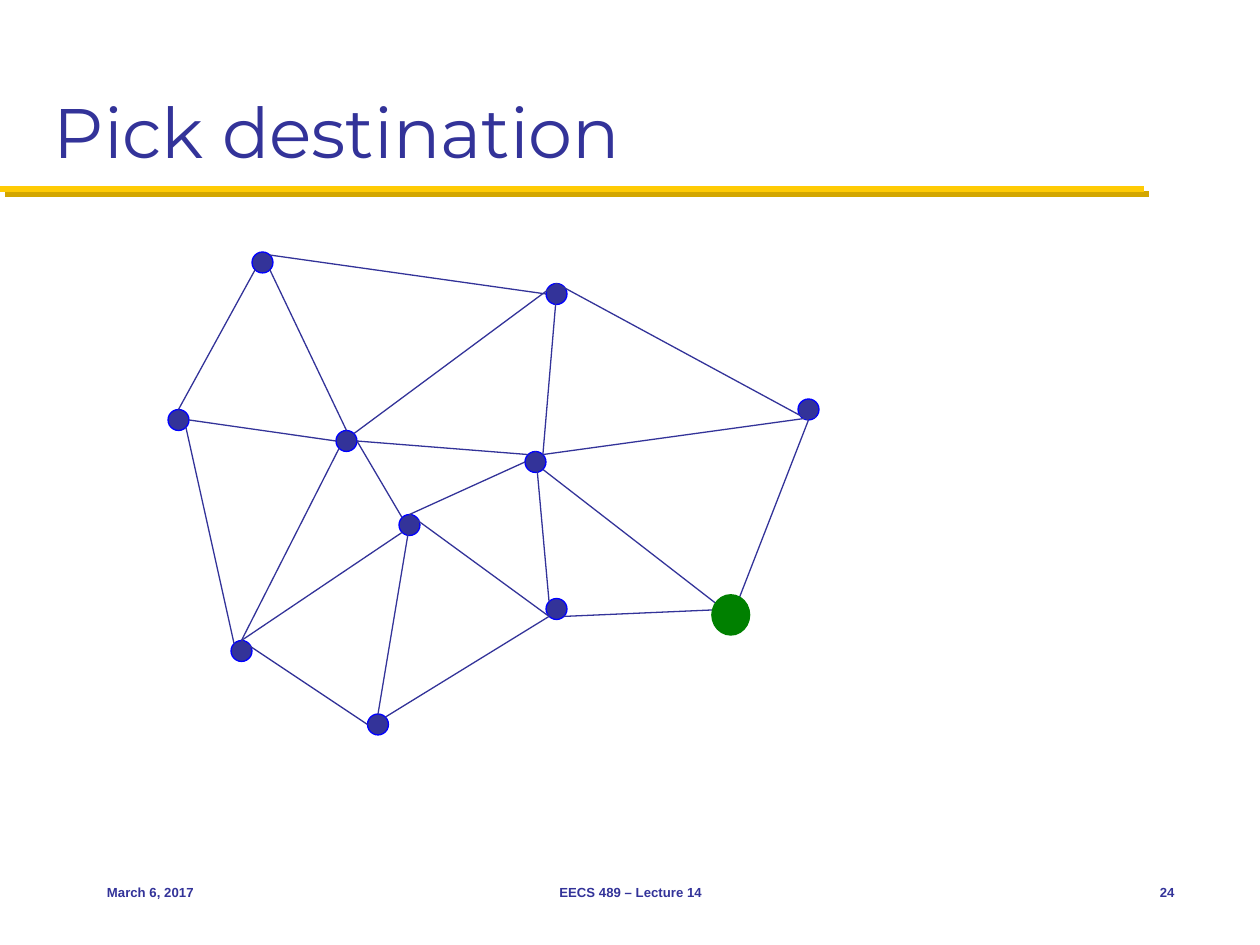
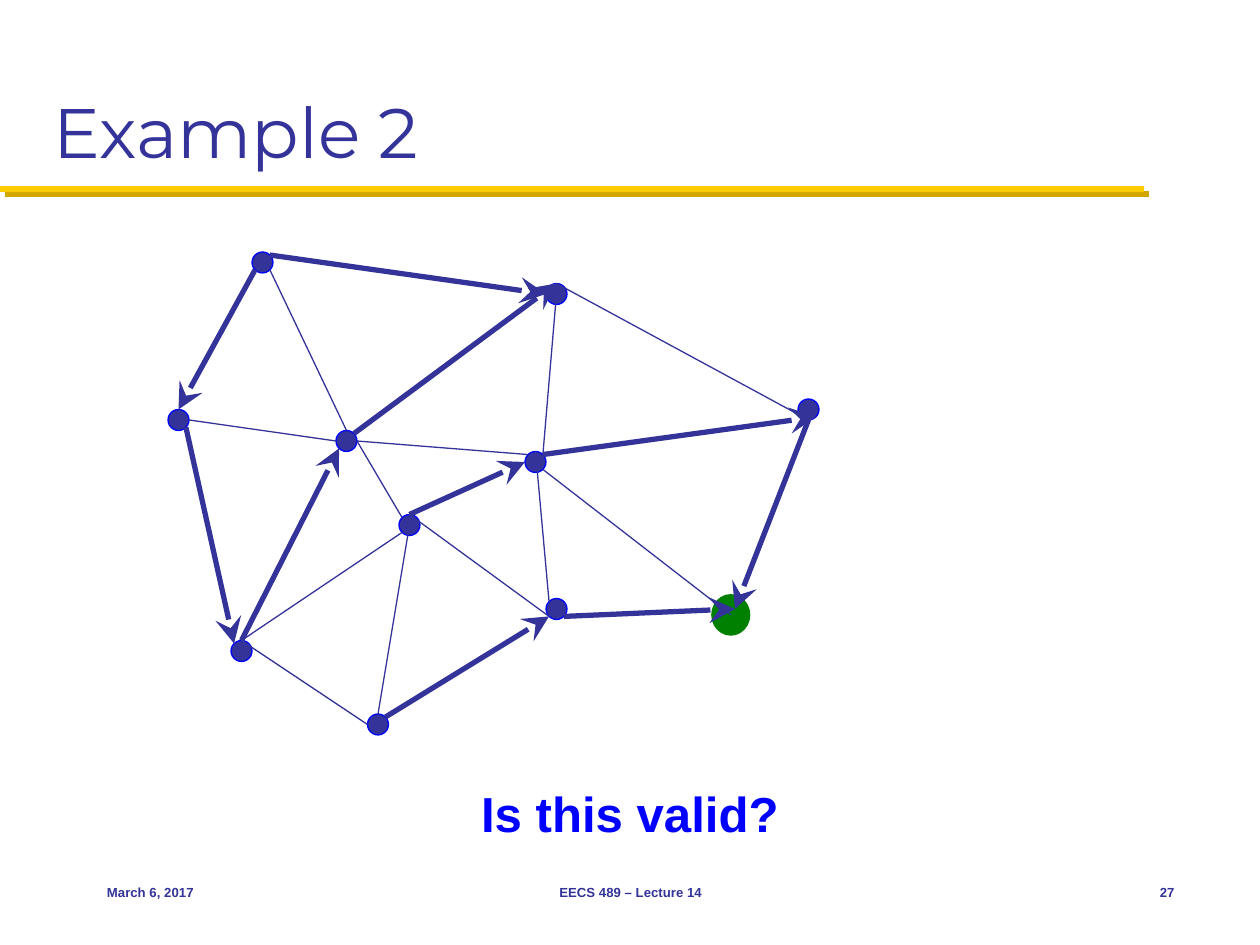
"""Build two slides that route a small network towards a chosen node."""
from lxml.etree import SubElement as Sub
from pptx import Presentation
from pptx.dml.color import RGBColor
from pptx.enum.shapes import MSO_CONNECTOR as Conn, MSO_SHAPE as Kind
from pptx.enum.text import MSO_ANCHOR as Anchor, PP_ALIGN as Align
from pptx.oxml.ns import qn
from pptx.util import Inches, Pt

WIDE, HIGH = 10, 7.5
UNIT = 1 / 12
INK, BLUE, GREEN, GOLD, SHADE = "333399", "0000FF", "008000", "FFCB05", "D3A600"

SLIDES = [
    {"title": "Pick destination", "page": "24", "note": None, "flow": False},
    {"title": "Example 2", "page": "27", "note": "Is this valid?", "flow": True},
]
DOTS = {
    "a": (25, 25), "b": (17, 40), "c": (53, 28), "d": (53, 58), "e": (36, 69),
    "f": (33, 42), "g": (77, 39), "h": (39, 50), "i": (23, 62), "j": (51, 44),
}
GOAL = (69.6, 58.56)
SPOTS = {**DOTS, "k": (70, 59), "goal": GOAL}
DIAG = 0.5 ** 0.5
SIDES = {
    "o": (0, 0), "n": (0, -1), "s": (0, 1), "w": (-1, 0), "e": (1, 0),
    "nw": (-DIAG, -DIAG), "ne": (DIAG, -DIAG), "sw": (-DIAG, DIAG), "se": (DIAG, DIAG),
}
PLAIN = [
    "a.se f.n", "f.e h.nw", "j.se goal.o", "c.o j.ne", "c.n g.s", "i.n e.w",
    "h.n d.sw", "j.n d.nw", "h.o e.n", "f.e j.nw", "b.e f.w", "i.n h.sw",
]
ROUTE = [
    "a.sw b.n", "b.se i.nw", "d.se k.n", "e.ne d.sw", "i.n f.sw", "h.n j.w",
    "j.ne g.se", "a.ne c.w", "f.ne c.n", "g.s k.n",
]
STYLES = {
    "title": {"name": "Montserrat", "size": Pt(40)},
    "note": {"name": "Arial", "size": Pt(28.1), "bold": True},
    "foot": {"name": "Arial", "size": Pt(7.5), "bold": True},
}
FEET = [
    (0.75, 2.08, Align.LEFT, "March 6, 2017"),
    (3.42, 3.17, Align.CENTER, "EECS 489 – Lecture 14"),
    (8.75, 0.67, Align.RIGHT, None),
]


def hue(code):
    return RGBColor.from_string(code)


def write(slide, text, box, style, align=Align.LEFT, anchor=Anchor.MIDDLE, color=INK):
    frame = slide.shapes.add_textbox(*map(Inches, box)).text_frame
    frame.word_wrap, frame.vertical_anchor = True, anchor
    para = frame.paragraphs[0]
    para.text, para.alignment = text, align
    font = para.runs[0].font
    for key, value in STYLES[style].items():
        setattr(font, key, value)
    font.color.rgb = hue(color)


def rule(slide, start, end, color, width):
    line = slide.shapes.add_connector(Conn.STRAIGHT, *map(Inches, (*start, *end)))
    line.line.color.rgb, line.line.width = hue(color), Pt(width)
    return line, Sub(line._element.spPr, qn("a:effectLst"))


def band(slide):
    _, effect = rule(slide, (0, HIGH / 5), (9.08, HIGH / 5), GOLD, 3.5)
    cast = Sub(effect, qn("a:outerShdw"), blurRad="0", dist=str(Pt(4.2)),
               dir="2700000", algn="ctr", rotWithShape="0")
    Sub(cast, qn("a:srgbClr"), val=SHADE)


def disc(slide, spot, wide, high, fill, edge):
    x, y = (part * UNIT for part in spot)
    box = x - wide / 2, y - high / 2, wide, high
    shape = slide.shapes.add_shape(Kind.OVAL, *map(Inches, box))
    shape.shadow.inherit = False
    shape.fill.solid()
    shape.fill.fore_color.rgb = hue(fill)
    shape.line.color.rgb, shape.line.width = hue(edge), Pt(0.75)


def point(end):
    node, side = end.split(".")
    return [(a + b) * UNIT for a, b in zip(SPOTS[node], SIDES[side])]


def link(slide, pair, bold):
    start, end = map(point, pair.split())
    line, _ = rule(slide, start, end, INK, 3 if bold else 0.75)
    if bold:
        Sub(line.line._get_or_add_ln(), qn("a:tailEnd"), type="stealth", w="lg", len="lg")


def graph(slide, flow):
    for spot in DOTS.values():
        disc(slide, spot, 2 * UNIT, 2 * UNIT, INK, BLUE)
    for pair in PLAIN:
        link(slide, pair, False)
    for pair in ROUTE:
        link(slide, pair, flow)


def build(slide, title, page, note, flow):
    band(slide)
    write(slide, title, (0.33, 0.17, 9.33, 1.25), "title", anchor=Anchor.BOTTOM)
    if flow:
        disc(slide, GOAL, 0.3, 0.32, GREEN, GREEN)
    graph(slide, flow)
    if not flow:
        disc(slide, GOAL, 0.3, 0.32, GREEN, GREEN)
    if note:
        write(slide, note, (1.75, 6.17, 6.5, 0.57), "note", Align.CENTER, Anchor.TOP, BLUE)
    for left, wide, align, text in FEET:
        write(slide, text or page, (left, 6.83, wide, 0.5), "foot", align)


def main():
    deck = Presentation()
    deck.slide_width, deck.slide_height = Inches(WIDE), Inches(HIGH)
    for item in SLIDES:
        build(deck.slides.add_slide(deck.slide_layouts[6]), **item)
    deck.save("out.pptx")


if __name__ == "__main__":
    main()
